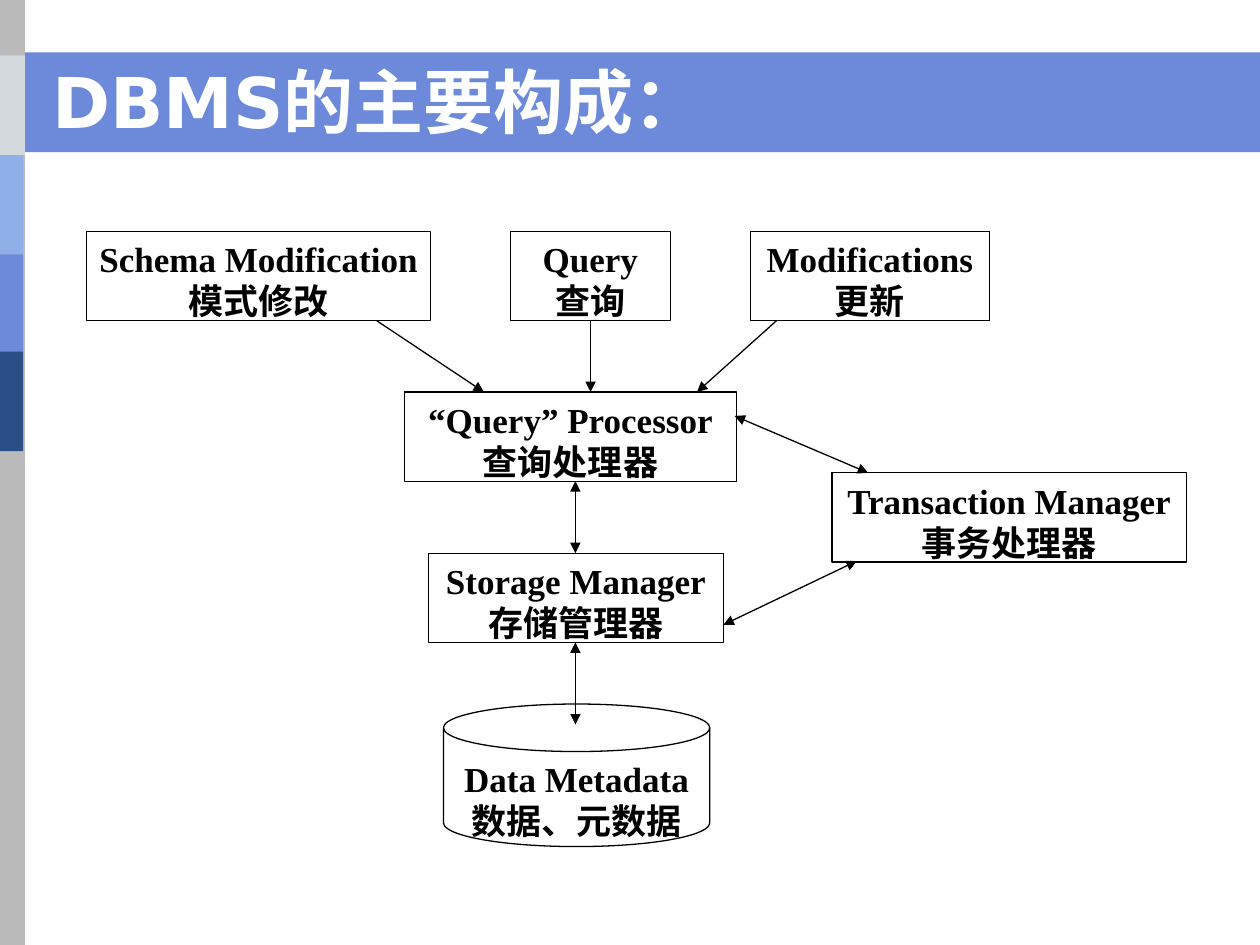
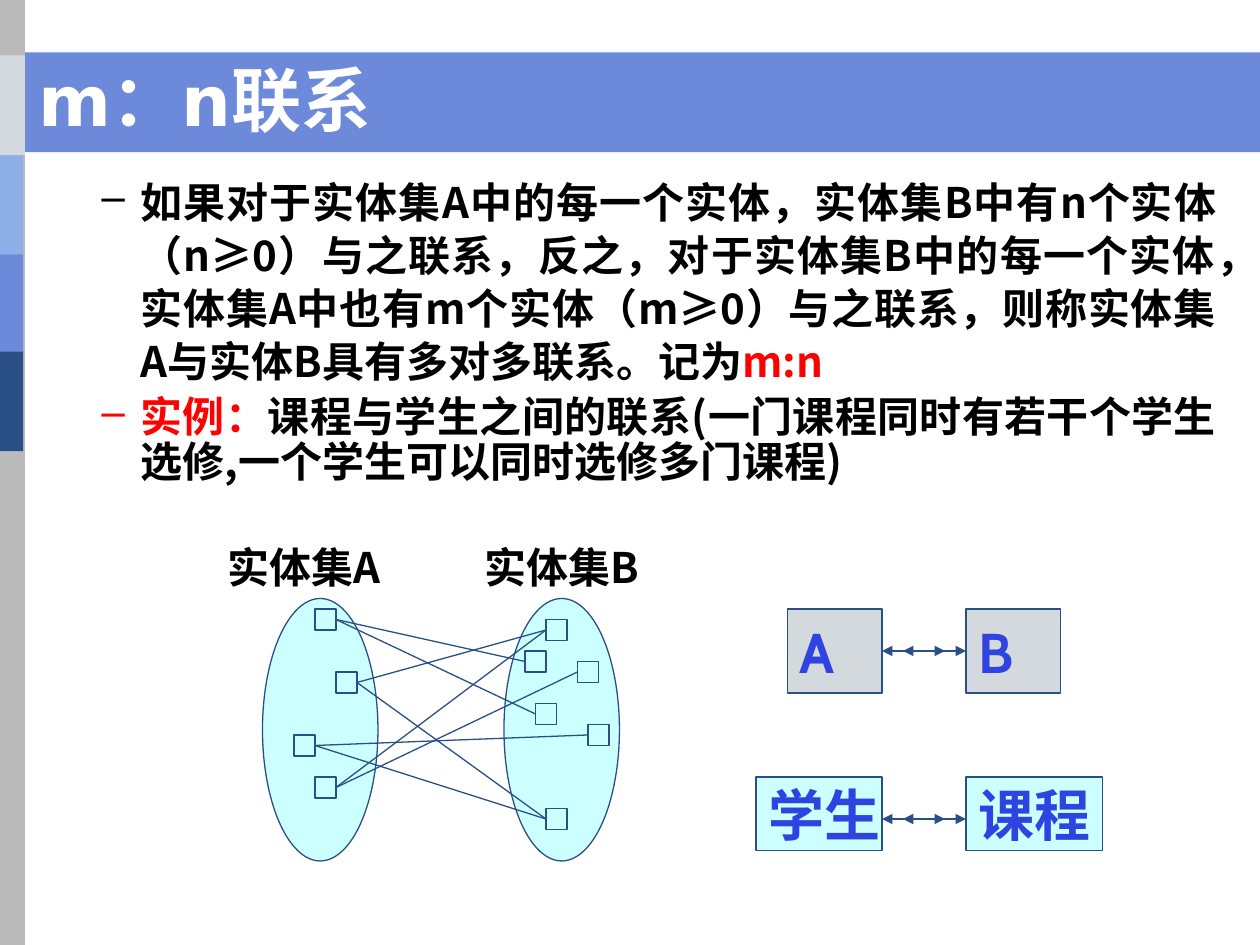
from dataclasses import dataclass

from lxml.etree import SubElement
from pptx import Presentation
from pptx.dml.color import RGBColor
from pptx.enum.shapes import MSO_CONNECTOR, MSO_SHAPE
from pptx.enum.text import MSO_ANCHOR, PP_ALIGN
from pptx.oxml.ns import qn
from pptx.util import Pt

COLORS = {
    "white": "FFFFFF", "black": "000000", "red": "FF0000",
    "band": "6C89DA", "gray": "BABABA", "silver": "D3D9DD",
    "sky": "8FAFE9", "navy": "2A4F86", "cyan": "CCFFFF", "label": "2E43E0",
}
CJK_FONT = "Noto Sans CJK SC"
UNIT = 6  # grid step of the entity set drawing


@dataclass(frozen=True)
class Box:
    left: float
    top: float
    width: float
    height: float


@dataclass(frozen=True)
class TextStyle:
    font: str
    size: float
    color: str
    align: PP_ALIGN = PP_ALIGN.LEFT
    anchor: MSO_ANCHOR = MSO_ANCHOR.TOP


@dataclass(frozen=True)
class Node:
    box: Box
    english: str
    chinese: str
    kind: MSO_SHAPE = MSO_SHAPE.RECTANGLE


@dataclass(frozen=True)
class Line:
    x1: float
    y1: float
    x2: float
    y2: float
    head: bool = False
    tail: bool = False


@dataclass(frozen=True)
class Bullet:
    spans: tuple[tuple[str, str], ...]
    color: str
    spacing: float
    before: float


TITLE = TextStyle("DejaVu Sans", 40, "white")
TITLE_LOW = TextStyle("DejaVu Sans", 40, "white", anchor=MSO_ANCHOR.BOTTOM)
NODE = TextStyle("Times New Roman", 20, "black", PP_ALIGN.CENTER)
BODY = TextStyle(CJK_FONT, 24, "black", PP_ALIGN.JUSTIFY)
SET_NAME = TextStyle(CJK_FONT, 24, "black", PP_ALIGN.CENTER, MSO_ANCHOR.MIDDLE)
ENTITY = TextStyle("Cabin", 32, "label", anchor=MSO_ANCHOR.MIDDLE)


def rgb(name: str) -> RGBColor:
    return RGBColor.from_string(COLORS[name])


def style_para(para, style: TextStyle) -> None:
    para.alignment = style.align
    para.font.name = style.font
    para.font.size = Pt(style.size)
    para.font.bold = True
    para.font.color.rgb = rgb(style.color)
    defaults = para._p.pPr.find(qn("a:defRPr"))
    SubElement(defaults, qn("a:ea"), typeface=CJK_FONT)


def write(shape, lines: list[str], style: TextStyle) -> None:
    frame = shape.text_frame
    frame.word_wrap = False
    frame.vertical_anchor = style.anchor
    frame.text = "\n".join(lines)
    for para in frame.paragraphs:
        style_para(para, style)


def add_text(page, box: Box):
    return page.shapes.add_textbox(
        Pt(box.left), Pt(box.top), Pt(box.width), Pt(box.height))


def add_figure(page, box: Box, fill: str, line: str | None = None,
               kind: MSO_SHAPE = MSO_SHAPE.RECTANGLE):
    shape = page.shapes.add_shape(
        kind, Pt(box.left), Pt(box.top), Pt(box.width), Pt(box.height))
    shape.shadow.inherit = False
    shape.fill.solid()
    shape.fill.fore_color.rgb = rgb(fill)
    if line:
        shape.line.color.rgb = rgb(line)
        shape.line.width = Pt(0.75)
    else:
        shape.line.fill.background()
    return shape


def add_line(page, line: Line, color: str) -> None:
    connector = page.shapes.add_connector(
        MSO_CONNECTOR.STRAIGHT, Pt(line.x1), Pt(line.y1), Pt(line.x2), Pt(line.y2))
    connector.line.color.rgb = rgb(color)
    connector.line.width = Pt(0.75)
    outline = connector.line._get_or_add_ln()
    for shown, tag in ((line.head, "a:headEnd"), (line.tail, "a:tailEnd")):
        if shown:
            SubElement(outline, qn(tag), type="triangle")
    SubElement(connector._element.spPr, qn("a:effectLst"))


def add_bullet(para, bullet: Bullet) -> None:
    properties = para._p.get_or_add_pPr()
    properties.set("marL", str(Pt(58.3)))
    properties.set("indent", str(Pt(-22.3)))
    color = SubElement(properties, qn("a:buClr"))
    SubElement(color, qn("a:srgbClr"), val=COLORS[bullet.color])
    SubElement(properties, qn("a:buChar"), char="–")
    para.line_spacing = bullet.spacing
    para.space_before = Pt(bullet.before)
    style_para(para, BODY)
    for text, span_color in bullet.spans:
        span = para.add_run()
        span.text = text
        span.font.color.rgb = rgb(span_color)


def add_page(deck, title: str, box: Box, style: TextStyle):
    """Blank page with the title band, the side stripe and the title."""
    page = deck.slides.add_slide(deck.slide_layouts[6])
    add_figure(page, Box(0, 30, 720, 57), "band")
    add_figure(page, Box(0, 0, 14.2, 540), "gray")
    stripes = (("silver", 31.7, 14.2), ("sky", 88.6, 13.2),
               ("band", 145.4, 13.2), ("navy", 200.9, 13.2))
    for color, top, width in stripes:
        add_figure(page, Box(0, top, width, 56.9), color)
    write(add_text(page, box), [title], style)
    return page


def build_components(deck) -> None:
    page = add_page(deck, "DBMS的主要构成：", Box(23, 30, 541, 37), TITLE)

    # Components of the system
    height = 51
    top_row, processor, transaction, storage = 132.3, 224, 270.2, 316.1
    nodes = (
        Node(Box(49.5, top_row, 196.6, height), "Schema Modification", "模式修改"),
        Node(Box(291.6, top_row, 91.5, height), "Query", "查询"),
        Node(Box(428.7, top_row, 136.8, height), "Modifications", "更新"),
        Node(Box(231, processor, 190, height), "“Query” Processor", "查询处理器"),
        Node(Box(475.4, transaction, 202.6, height), "Transaction Manager", "事务处理器"),
        Node(Box(244.9, storage, 168.5, height), "Storage Manager", "存储管理器"),
        Node(Box(253.4, 402.3, 152.2, 81.5), "Data Metadata", "数据、元数据",
             MSO_SHAPE.FLOWCHART_MAGNETIC_DISK),
    )
    for node in nodes:
        shape = add_figure(page, node.box, "white", "black", node.kind)
        write(shape, [node.english, node.chinese], NODE)

    # Requests going into the processor
    for start, end in ((215.3, 276.5), (337.5, 337.5), (443.7, 398.3)):
        add_line(page, Line(start, top_row + height, end, processor, tail=True), "black")

    # Two-way exchange between the managers
    for ends in ((328.8, processor + height, 328.8, storage),
                 (328.8, storage + height, 328.8, 414),
                 (419.8, 237.7, 496.1, transaction),
                 (489.6, 320.6, 413.4, 357)):
        add_line(page, Line(*ends, head=True, tail=True), "black")


def build_many_to_many(deck) -> None:
    page = add_page(deck, "m：n联系", Box(15, 18, 652, 66), TITLE_LOW)

    # Definition and example
    bullets = (
        Bullet((("如果对于实体集A中的每一个实体，实体集B中有n个实体（n≥0）与之联系，"
                 "反之，对于实体集B中的每一个实体，实体集A中也有m个实体（m≥0）与之联系，"
                 "则称实体集A与实体B具有多对多联系。记为", "black"), ("m:n", "red")),
               "black", 1.05, 0),
        Bullet((("实例：", "red"),
                ("课程与学生之间的联系(一门课程同时有若干个学生选修,"
                 "一个学生可以同时选修多门课程)", "black")),
               "red", 0.9, 6),
    )
    frame = add_text(page, Box(15, 96, 687, 192)).text_frame
    frame.word_wrap = True
    for index, bullet in enumerate(bullets):
        para = frame.add_paragraph() if index else frame.paragraphs[0]
        add_bullet(para, bullet)

    # Entity sets with their names
    for left, name_box, name in ((150, Box(102, 312, 144, 24), "实体集A"),
                                 (288, Box(252, 312, 138, 24), "实体集B")):
        add_figure(page, Box(left, 342, 66, 150), "cyan", "navy", MSO_SHAPE.OVAL)
        write(add_text(page, name_box), [name], SET_NAME)

    # Entities as grid cells, and the links from A to B
    set_a = ((30, 58), (32, 64), (28, 70), (30, 74))
    set_b = ((52, 59), (50, 62), (55, 63), (51, 67), (56, 69), (52, 77))
    links = ((0, 1), (0, 3), (1, 0), (1, 5), (2, 4), (2, 5), (3, 0), (3, 2))
    for column, row in set_a + set_b:
        add_figure(page, Box(column * UNIT, row * UNIT, 2 * UNIT, 2 * UNIT), "cyan", "navy")
    for a, b in links:
        (column_a, row_a), (column_b, row_b) = set_a[a], set_b[b]
        add_line(page, Line((column_a + 2) * UNIT, (row_a + 1) * UNIT,
                            column_b * UNIT, (row_b + 1) * UNIT), "navy")

    # Related pairs, joined by double arrows
    pairs = (
        (("A", Box(450, 348, 54, 48)), ("B", Box(552, 348, 54, 48)), "silver", 372),
        (("学生", Box(432, 444, 72, 42)), ("课程", Box(552, 444, 78, 42)), "cyan", 468),
    )
    for first, second, fill, middle in pairs:
        for name, box in (first, second):
            write(add_figure(page, box, fill, "navy"), [name], ENTITY)
        for inset in (0, 12):
            add_line(page, Line(504 + inset, middle, 552 - inset, middle, True, True), "navy")


def main() -> None:
    deck = Presentation()
    deck.slide_width, deck.slide_height = Pt(720), Pt(540)
    build_components(deck)
    build_many_to_many(deck)
    deck.save("out.pptx")


if __name__ == "__main__":
    main()
